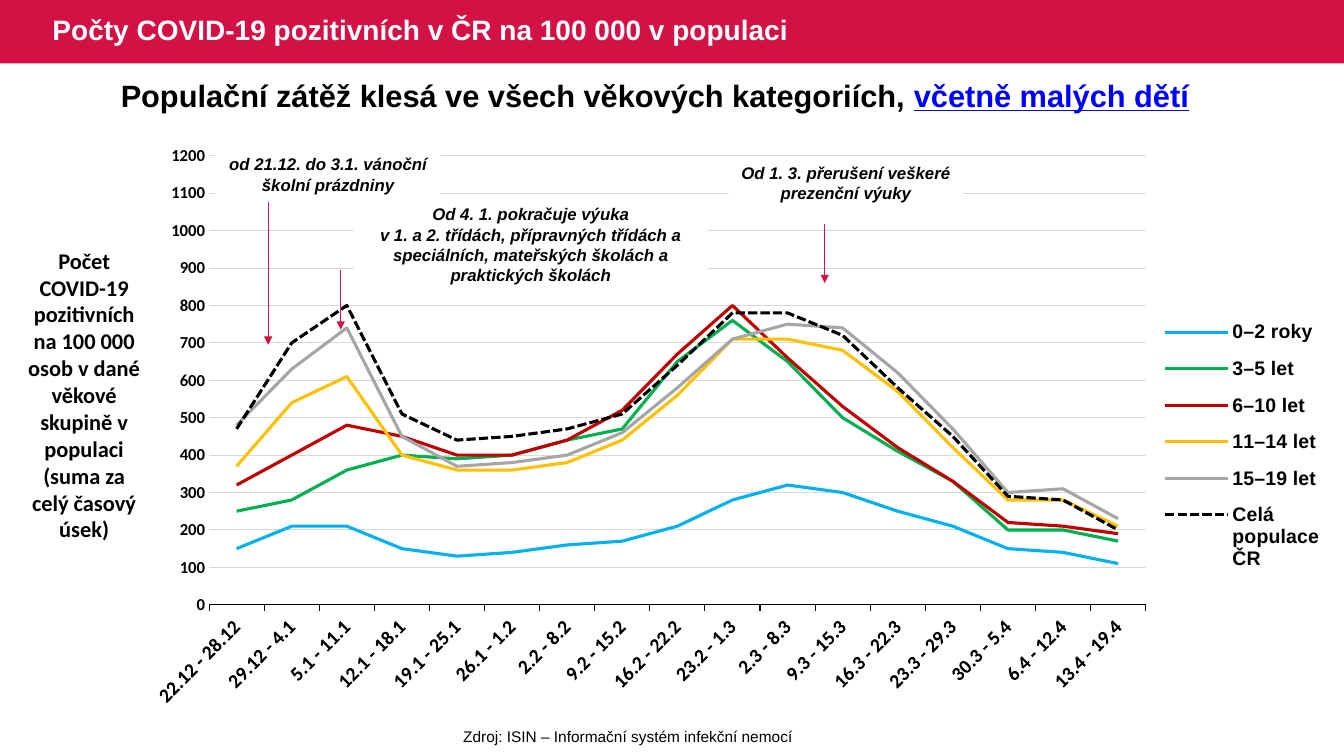
from dataclasses import dataclass

from lxml import etree
from pptx import Presentation
from pptx import util as u
from pptx.chart import data as cd
from pptx.dml import color as col
from pptx.enum import chart as ch, dml, shapes as sh, text as tx
from pptx.oxml import ns


@dataclass(frozen=True)
class Theme:
    """Colours, fonts and type sizes of the slide."""
    red: str = "D31145"
    white: str = "FFFFFF"
    black: str = "000000"
    blue: str = "0000FF"
    grid: str = "D9D9D9"
    sans: str = "Arial"
    body: str = "Calibri"
    head: int = 20
    sub: int = 22
    side: int = 16
    axis: int = 14
    note: int = 12
    foot: int = 11


T = Theme()

WEEKS = ["22.12 - 28.12", "29.12 - 4.1", "5.1 - 11.1", "12.1 - 18.1",
         "19.1 - 25.1", "26.1 - 1.2", "2.2 - 8.2", "9.2 - 15.2",
         "16.2 - 22.2", "23.2 - 1.3", "2.3 - 8.3", "9.3 - 15.3",
         "16.3 - 22.3", "23.3 - 29.3", "30.3 - 5.4", "6.4 - 12.4",
         "13.4 - 19.4"]

AGES = [
    ("0–2 roky", "00B0F0", [150, 210, 210, 150, 130, 140, 160, 170, 210,
                            280, 320, 300, 250, 210, 150, 140, 110]),
    ("3–5 let", "00B050", [250, 280, 360, 400, 390, 400, 440, 470, 650,
                           760, 650, 500, 410, 330, 200, 200, 170]),
    ("6–10 let", "C00000", [320, 400, 480, 450, 400, 400, 440, 520, 670,
                            800, 660, 530, 420, 330, 220, 210, 190]),
    ("11–14 let", "FFC000", [370, 540, 610, 400, 360, 360, 380, 440, 560,
                             710, 710, 680, 570, 420, 280, 280, 210]),
    ("15–19 let", "A6A6A6", [480, 630, 740, 450, 370, 380, 400, 460, 580,
                             710, 750, 740, 620, 470, 300, 310, 230]),
    ("Celá populace ČR", "000000", [470, 700, 800, 510, 440, 450, 470, 510,
                                    640, 780, 780, 720, 580, 450, 290, 280,
                                    200]),
]

NOTES = [
    ((2.14, 1.48, 2.23, 0.5), ["od 21.12. do 3.1. vánoční školní prázdniny"]),
    ((7.23, 1.56, 2.32, 0.5), ["Od 1. 3. přerušení veškeré prezenční výuky"]),
    ((3.51, 1.97, 3.51, 0.91), [
        "Od 4. 1. pokračuje výuka",
        "v 1. a 2. třídách, přípravných třídách a speciálních, "
        "mateřských školách a praktických školách"]),
]

ARROWS = [(2.66, 2, 3.42), (3.38, 2.68, 3.27), (8.18, 2.22, 2.81)]


def rgb(code):
    """Turn a hex code into a colour."""
    return col.RGBColor.from_string(code)


def style(font, size, name=T.sans, ink=T.black, bold=True, slant=False):
    """Format a font."""
    font.size, font.name = u.Pt(size), name
    font.bold, font.italic = bold, slant
    font.color.rgb = rgb(ink)


def inch(*sizes):
    """Turn numbers into lengths."""
    return [u.Inches(size) for size in sizes]


def write(shape, lines, size, align=tx.PP_ALIGN.CENTER, **look):
    """Fill a shape with wrapped paragraphs; a line is a list of runs."""
    frame = shape.text_frame
    frame.word_wrap = True
    for n, line in enumerate(lines):
        para = frame.add_paragraph() if n else frame.paragraphs[0]
        para.alignment = align
        for part in line if isinstance(line, list) else [line]:
            run = para.add_run()
            run.text = part
            style(run.font, size, **look)


def label(slide, box, line, size, **look):
    """Add a centred text box."""
    shape = slide.shapes.add_textbox(*inch(*box))
    write(shape, [line], size, **look)
    return shape


def block(slide, box, fill):
    """Add a plain filled rectangle."""
    shape = slide.shapes.add_shape(sh.MSO_SHAPE.RECTANGLE, *inch(*box))
    shape.shadow.inherit = False
    shape.fill.solid()
    shape.fill.fore_color.rgb = rgb(fill)
    shape.line.fill.background()
    return shape


def arrow(slide, x, top, end):
    """Add a thin arrow that points down."""
    line = slide.shapes.add_connector(
        sh.MSO_CONNECTOR.STRAIGHT, *inch(x, top, x, end))
    line.line.color.rgb = rgb(T.red)
    line.line.width = u.Pt(0.5)
    tip = etree.SubElement(line.line._get_or_add_ln(), ns.qn("a:tailEnd"))
    tip.set("type", "triangle")
    etree.SubElement(line._element.spPr, ns.qn("a:effectLst"))


def layout(x, y, w, h, inner=False):
    """Make a manual chart layout."""
    root = etree.Element(ns.qn("c:layout"))
    man = etree.SubElement(root, ns.qn("c:manualLayout"))
    pairs = [("layoutTarget", "inner")] if inner else []
    pairs += [("xMode", "edge"), ("yMode", "edge"),
              ("x", x), ("y", y), ("w", w), ("h", h)]
    for tag, val in pairs:
        etree.SubElement(man, ns.qn("c:" + tag)).set("val", str(val))
    return root


def place(parent, spot, node):
    """Put a layout at its spot, in place of any old one."""
    for old in parent.findall(ns.qn("c:layout")):
        parent.remove(old)
    parent.insert(spot, node)


def axes(chart):
    """Format both axes."""
    cat, val = chart.category_axis, chart.value_axis
    style(cat.tick_labels.font, T.axis, T.body)
    cat._element.find(".//" + ns.qn("a:bodyPr")).set("rot", "-2700000")
    cat.major_tick_mark = ch.XL_TICK_MARK.OUTSIDE
    cat.format.line.color.rgb = rgb(T.black)
    cat.format.line.width = u.Pt(0.75)
    style(val.tick_labels.font, T.note, T.body)
    val.minimum_scale, val.maximum_scale, val.major_unit = 0, 1200, 100
    val.major_tick_mark = ch.XL_TICK_MARK.NONE
    val.format.line.fill.background()
    val.major_gridlines.format.line.color.rgb = rgb(T.grid)
    val.major_gridlines.format.line.width = u.Pt(0.75)


def graph(slide, box):
    """Add the line chart of age groups."""
    data = cd.CategoryChartData()
    data.categories = WEEKS
    for name, _, vals in AGES:
        data.add_series(name, vals)
    chart = slide.shapes.add_chart(
        ch.XL_CHART_TYPE.LINE, *inch(*box), data).chart
    chart.has_title = False
    style(chart.font, T.axis)
    axes(chart)
    plot = chart.plots[0]
    plot.vary_by_categories = False
    for line, (_, ink, _) in zip(plot.series, AGES):
        line.smooth = False
        line.format.line.color.rgb = rgb(ink)
        line.format.line.width = u.Pt(2.25)
    line.format.line.dash_style = dml.MSO_LINE.SQUARE_DOT
    chart.has_legend = True
    key = chart.legend
    key.position = ch.XL_LEGEND_POSITION.RIGHT
    key.include_in_layout = False
    style(key.font, T.axis)
    place(key._element, 1, layout(0.86, 0.29, 0.14, 0.47))
    area = chart._chartSpace.chart.plotArea
    place(area, 0, layout(0.04, 0.035, 0.803, 0.759, True))


def header(slide):
    """Set the title on its red bar."""
    title = slide.shapes.title
    title.left, title.top, title.width, title.height = inch(0.42, 0, 8.37, 0.63)
    write(title, ["Počty COVID-19 pozitivních v ČR na 100 000 v populaci"],
          T.head, tx.PP_ALIGN.LEFT, ink=T.white)
    title.text_frame.vertical_anchor = tx.MSO_ANCHOR.MIDDLE
    title.text_frame.paragraphs[0].line_spacing = 0.9
    bar = block(slide, (0, 0, 13.33, 0.63), T.red)
    title._element.addprevious(bar._element)


def main():
    """Build the slide and save it."""
    deck = Presentation()
    deck.slide_width, deck.slide_height = inch(13.33, 7.5)
    slide = deck.slides.add_slide(deck.slide_layouts[5])
    header(slide)
    label(slide, (2.36, 7.16, 7.74, 0.29),
          "Zdroj: ISIN – Informační systém infekční nemocí", T.foot, bold=False)
    graph(slide, (1.52, 1.34, 11.66, 5.87))
    label(slide, (0.15, 2.4, 1.37, 3.06),
          "Počet COVID-19 pozitivních na 100 000 osob v dané věkové skupině "
          "v populaci (suma za celý časový úsek)", T.side, name=T.body)
    for box, lines in NOTES:
        write(block(slide, box, T.white), lines, T.note, slant=True)
    for spot in ARROWS:
        arrow(slide, *spot)
    sub = label(slide, (0.29, 0.71, 12.41, 0.47),
                ["Populační zátěž klesá ve všech věkových kategoriích, ",
                 "včetně malých dětí"], T.sub)
    stress = sub.text_frame.paragraphs[0].runs[1].font
    stress.color.rgb, stress.underline = rgb(T.blue), True
    deck.save("out.pptx")


if __name__ == "__main__":
    main()
